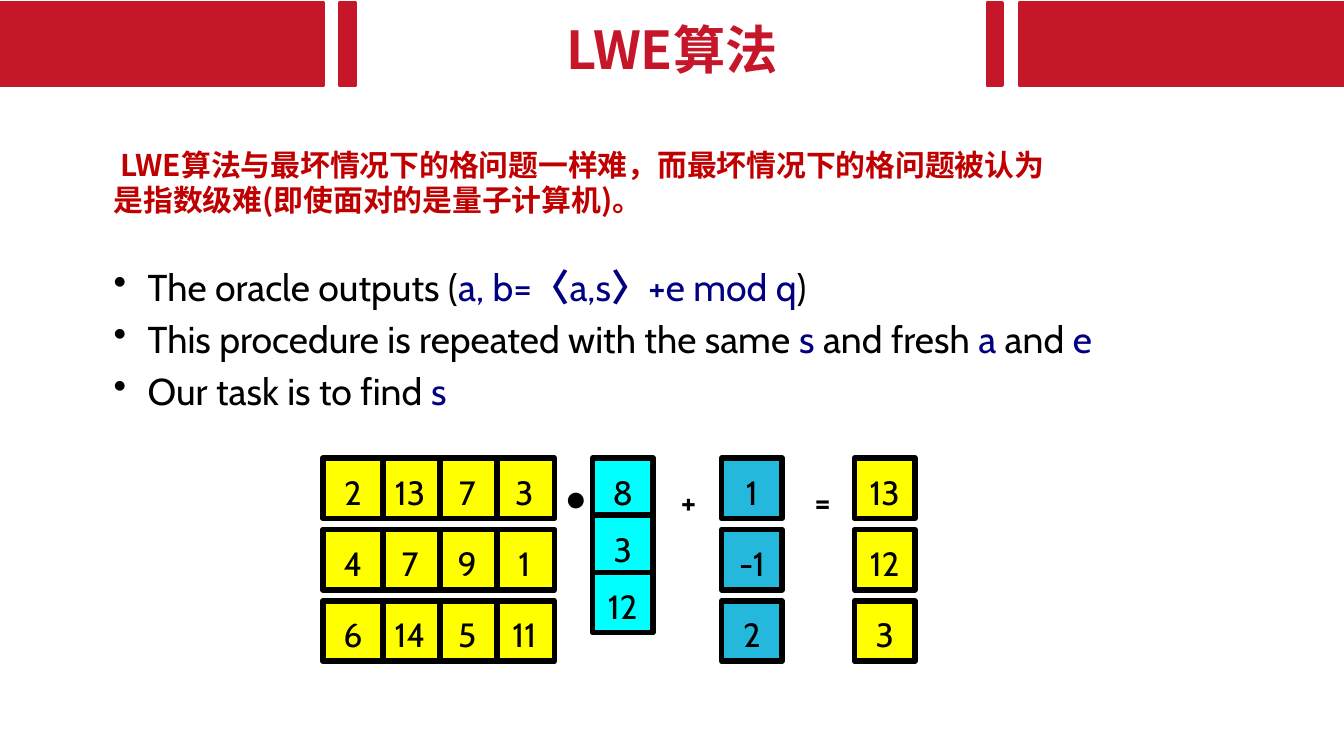
from dataclasses import dataclass
from typing import NamedTuple

from lxml import etree
from pptx import Presentation
from pptx.dml.color import RGBColor
from pptx.enum import shapes, text
from pptx.oxml import ns
from pptx.util import Cm, Pt


@dataclass(frozen=True)
class Theme:
    red: str = "C6162A"
    dark_red: str = "C00000"
    navy: str = "000080"
    black: str = "000000"
    yellow: str = "FFFF00"
    cyan: str = "00FFFF"
    blue: str = "23B8DC"
    cjk: str = "Noto Sans CJK SC"
    latin: str = "Cabin"
    symbol: str = "Calibri"
    title: int = 28
    lead: int = 16
    body: int = 20
    cell: int = 18
    spacing: float = 1.17


T = Theme()


class Box(NamedTuple):
    x: float
    y: float
    w: float
    h: float

    def emu(self) -> tuple:
        return tuple(Cm(v) for v in self)


class Style(NamedTuple):
    size: int
    font: str = T.latin
    color: str = T.black
    bold: bool = False


class Grid(NamedTuple):
    x: float
    row_pitch: float
    fill: str
    rows: list


BAR_TOP, BAR_H = 0.05, 1.57
BARS = [(0, 6.1), (6.43, 0.28), (18.67, 0.28), (19.28, 6.1)]
CELL, COL_PITCH, GRID_TOP = 1.14, 1.08, 8.66
GRIDS = [
    Grid(11.2, 1.08, T.cyan, [["8"], ["3"], ["12"]]),
    Grid(6.1, 1.35, T.yellow,
         [["2", "13", "7", "3"], ["4", "7", "9", "1"], ["6", "14", "5", "11"]]),
    Grid(13.64, 1.35, T.blue, [["1"], ["-1"], ["2"]]),
    Grid(16.15, 1.35, T.yellow, [["13"], ["12"], ["3"]]),
]

PLAIN = Style(T.body)
MATH = Style(T.body, color=T.navy)
BRACKET = Style(T.body, color=T.navy, bold=True)
CELL_TEXT = Style(T.cell)
OPERATOR = Style(T.cell, bold=True)
BULLETS = [
    [("The oracle outputs (", PLAIN), ("a, b=", MATH), ("〈", BRACKET), ("a,s", MATH),
     ("〉", BRACKET), ("+e mod q", MATH), (")", PLAIN)],
    [("This procedure is repeated with the same ", PLAIN), ("s", MATH),
     (" and fresh ", PLAIN), ("a", MATH), (" and ", PLAIN), ("e", MATH)],
    [("Our task is to find", PLAIN), (" s", MATH)],
]
OPERATORS = [
    (10.46, 8.69, "•", Style(T.body, T.symbol, bold=True)),
    (12.62, 8.84, "+", OPERATOR),
    (15.14, 8.84, "=", OPERATOR),
]


def add_run(p, words: str, style: Style) -> None:
    r = p.add_run()
    r.text = words
    r.font.size = Pt(style.size)
    r.font.name = style.font
    r.font.bold = style.bold
    r.font.color.rgb = RGBColor.from_string(style.color)
    if style.font == T.cjk:
        latin = r.font._element.find(ns.qn("a:latin"))
        ea = etree.Element(ns.qn("a:ea"), typeface=style.font)
        latin.addnext(ea)


def add_bullet(p) -> None:
    p_pr = p._p.get_or_add_pPr()
    p_pr.set("marL", str(Cm(0.64)))
    p_pr.set("indent", str(-Cm(0.64)))
    color = etree.SubElement(p_pr, ns.qn("a:buClr"))
    etree.SubElement(color, ns.qn("a:srgbClr"), val=T.black)
    etree.SubElement(p_pr, ns.qn("a:buChar"), char="•")


def add_rect(s, box: Box, fill: str, line: str, width: float):
    sp = s.shapes.add_shape(shapes.MSO_SHAPE.RECTANGLE, *box.emu())
    sp.shadow.inherit = False
    sp.fill.solid()
    sp.fill.fore_color.rgb = RGBColor.from_string(fill)
    sp.line.color.rgb = RGBColor.from_string(line)
    sp.line.width = Pt(width)
    return sp


def add_text(s, box: Box):
    tf = s.shapes.add_textbox(*box.emu()).text_frame
    tf.word_wrap = True
    return tf


def add_cell(s, x: float, y: float, fill: str, value: str) -> None:
    tf = add_rect(s, Box(x, y, CELL, CELL), fill, T.black, 3).text_frame
    tf.word_wrap = False
    tf.vertical_anchor = text.MSO_ANCHOR.MIDDLE
    p = tf.paragraphs[0]
    p.alignment = text.PP_ALIGN.CENTER
    p.line_spacing = T.spacing
    add_run(p, value, CELL_TEXT)


def add_grid(s, grid: Grid) -> None:
    for i, row in enumerate(grid.rows):
        for j, value in reversed(list(enumerate(row))):
            add_cell(s, grid.x + j * COL_PITCH, GRID_TOP + i * grid.row_pitch,
                     grid.fill, value)


def main() -> None:
    prs = Presentation()
    prs.slide_width, prs.slide_height = Cm(25.4), Cm(14.29)
    s = prs.slides.add_slide(prs.slide_layouts[6])

    for x, w in BARS:
        add_rect(s, Box(x, BAR_TOP, w, BAR_H), T.red, T.red, 2)

    tf = add_text(s, Box(6.53, 0.23, 12.34, 1.37))
    tf.margin_left = tf.margin_right = Cm(0.2)
    tf.margin_top = tf.margin_bottom = Cm(0.1)
    p = tf.paragraphs[0]
    p.alignment = text.PP_ALIGN.CENTER
    add_run(p, "LWE算法", Style(T.title, T.cjk, T.red, True))

    p = add_text(s, Box(1.9, 2.64, 18.6, 2.03)).paragraphs[0]
    add_run(p, " LWE算法与最坏情况下的格问题一样难，而最坏情况下的格问题被认为"
               "是指数级难(即使面对的是量子计算机)。",
            Style(T.lead, T.cjk, T.dark_red, True))

    tf = add_text(s, Box(1.9, 4.72, 21.67, 3.3))
    for i, runs in enumerate(BULLETS):
        p = tf.add_paragraph() if i else tf.paragraphs[0]
        p.line_spacing = T.spacing
        add_bullet(p)
        for words, style in runs:
            add_run(p, words, style)

    for grid in GRIDS:
        add_grid(s, grid)
    for x, y, sign, style in OPERATORS:
        p = add_text(s, Box(x, y, 0.56, 1.02)).paragraphs[0]
        p.line_spacing = T.spacing
        add_run(p, sign, style)

    prs.save("out.pptx")


if __name__ == "__main__":
    main()
